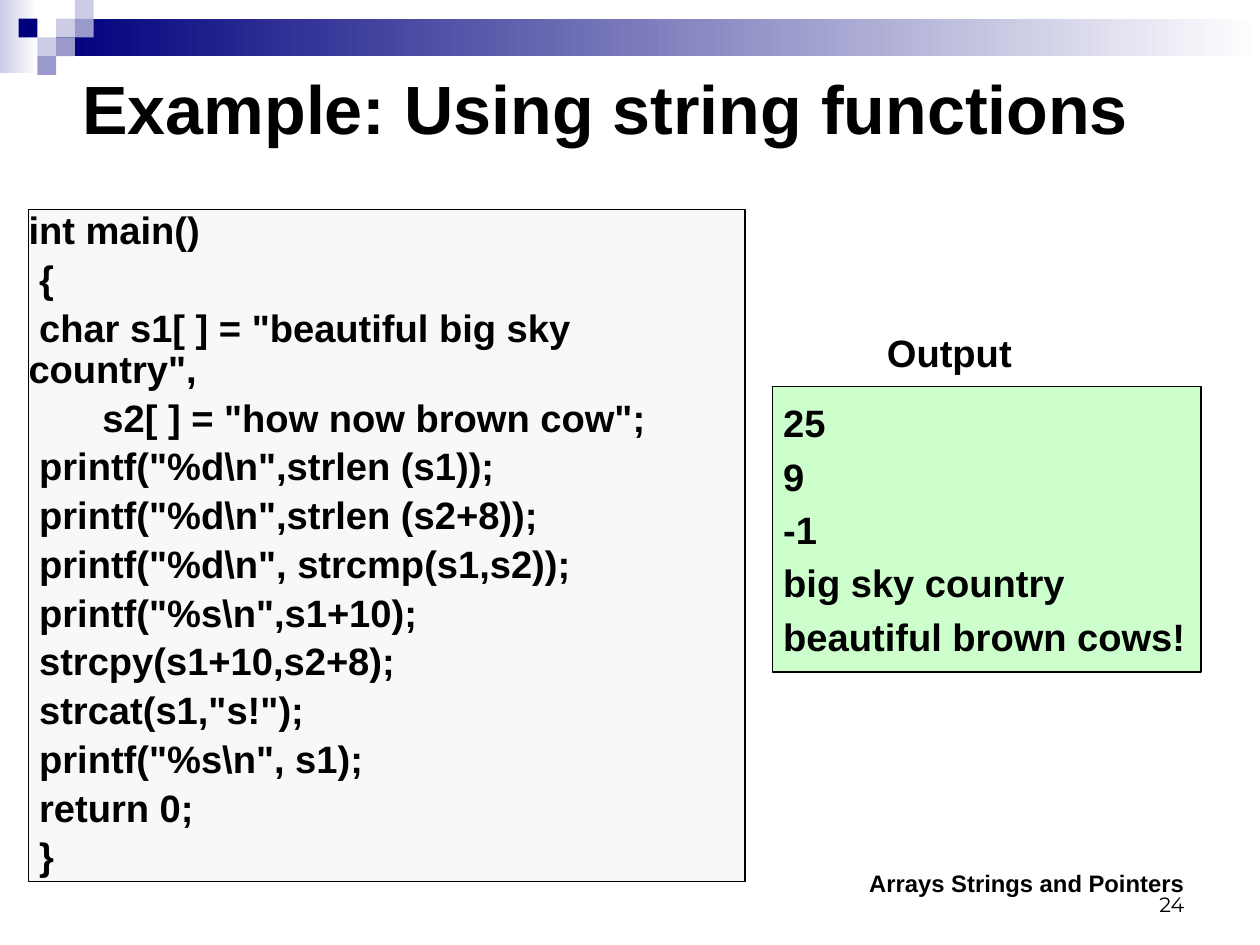
from dataclasses import dataclass

from pptx import Presentation
from pptx.dml.color import RGBColor
from pptx.enum.shapes import MSO_SHAPE
from pptx.enum.text import MSO_ANCHOR, PP_ALIGN
from pptx.util import Pt


@dataclass(frozen=True)
class Theme:
    navy: str = "00007D"
    mid: str = "9999CC"
    light: str = "CCCCE6"
    white: str = "FFFFFF"
    ink: str = "000000"
    paper: str = "F8F8F8"
    mint: str = "CCFFCC"
    sans: str = "Arial"
    round: str = "Montserrat"
    title: float = 43
    body: float = 24
    foot: float = 15
    page: float = 13


THEME = Theme()
WIDE, HIGH = 793.75, 595.25
PAD = (7.92, 4.32)

CODE = r'''int main()
 {
 char s1[ ] = "beautiful big sky country",
       s2[ ] = "how now brown cow";
 printf("%d\n",strlen (s1));
 printf("%d\n",strlen (s2+8));
 printf("%d\n", strcmp(s1,s2));
 printf("%s\n",s1+10);
 strcpy(s1+10,s2+8);
 strcat(s1,"s!");
 printf("%s\n", s1);
 return 0;
 }'''.split("\n")
RESULT = ["25", "9", "-1", "big sky country", "beautiful brown cows!"]


def apply(item, style):
    for name, value in style.items():
        setattr(item, name, value)


def color(code):
    return RGBColor.from_string(code)


def write(shape, lines, size, font=THEME.sans, bold=True, pad=(0, 0),
          anchor=MSO_ANCHOR.TOP, align=PP_ALIGN.LEFT, gap=0, pitch=None):
    """Fill a shape with one paragraph per line; pad is (sides, top and bottom)."""
    side, edge = map(Pt, pad)
    frame = shape.text_frame
    apply(frame, {"word_wrap": True, "vertical_anchor": anchor,
                  "margin_left": side, "margin_right": side,
                  "margin_top": edge, "margin_bottom": edge})
    for i, line in enumerate(lines):
        para = frame.paragraphs[0] if i == 0 else frame.add_paragraph()
        run = para.add_run()
        run.text = line
        apply(para, {"alignment": align, "line_spacing": pitch,
                     "space_before": Pt(gap if i else 0)})
        apply(run.font, {"name": font, "size": Pt(size), "bold": bold})
        run.font.color.rgb = color(THEME.ink)


def label(slide, box, text, size, **style):
    shape = slide.shapes.add_textbox(*map(Pt, box))
    write(shape, [text], size, **style)


def block(slide, box, fill, line=None):
    """Add a rectangle; a pair of colours makes a left-to-right gradient."""
    shape = slide.shapes.add_shape(MSO_SHAPE.RECTANGLE, *map(Pt, box))
    shape.shadow.inherit = False
    if isinstance(fill, tuple):
        shape.fill.gradient()
        shape.fill.gradient_angle = 0
        for stop, code in zip(shape.fill.gradient_stops, fill):
            stop.color.rgb = color(code)
    else:
        shape.fill.solid()
        shape.fill.fore_color.rgb = color(fill)
    if line:
        shape.line.color.rgb = color(line)
        shape.line.width = Pt(1)
    else:
        shape.line.fill.background()
    return shape


def banner(slide, box):
    """Draw the fading bar and the tiles, on a grid four rows high."""
    left, top, wide, high = box
    unit = high / 4
    block(slide, (left, top, 2 * unit, high - 1), (THEME.light, THEME.white))
    block(slide, (left + 3 * unit, top + unit, wide - 3 * unit, 2 * unit),
          (THEME.navy, THEME.white))
    tiles = [(3, 1, THEME.light), (4, 0, THEME.light), (4, 1, THEME.mid),
             (2, 2, THEME.light), (1, 1, THEME.navy), (3, 2, THEME.mid),
             (2, 3, THEME.mid)]
    for col, row, fill in tiles:
        block(slide, (left + col * unit, top + row * unit, unit, unit), fill)


def listing(slide, box):
    shape = block(slide, box, THEME.paper, THEME.ink)
    write(shape, CODE, THEME.body, anchor=MSO_ANCHOR.MIDDLE, gap=4.8, pitch=0.9)


def output(slide, box):
    left, top, wide, high = box
    head = 36
    label(slide, (left + 72, top, 120, 29), "Output", THEME.body)
    shape = block(slide, (left, top + head, wide, high - head),
                  THEME.mint, THEME.ink)
    write(shape, RESULT, THEME.body, pad=(6.67, 0),
          anchor=MSO_ANCHOR.MIDDLE, gap=4.8)


def footer(slide, box):
    left, top, wide, high = box
    inset, drop = 42.5, 12.25
    style = {"pad": PAD, "anchor": MSO_ANCHOR.BOTTOM, "align": PP_ALIGN.RIGHT}
    label(slide, (left + inset, top + drop, wide - inset, high - drop), "24",
          THEME.page, font=THEME.round, bold=False, **style)
    label(slide, (left, top, wide, high - drop), "Arrays Strings and Pointers",
          THEME.foot, **style)


def main():
    deck = Presentation()
    apply(deck, {"slide_width": Pt(WIDE), "slide_height": Pt(HIGH)})
    slide = deck.slides.add_slide(deck.slide_layouts[6])
    banner(slide, (0, 0, WIDE, 47.2))
    label(slide, (44, 37.5, WIDE - 44, 60.5), "Example: Using string functions",
          THEME.title, pad=PAD, anchor=MSO_ANCHOR.MIDDLE)
    output(slide, (486.75, 207.4, 270, 216))
    listing(slide, (18, 131.9, 451.5, 423.4))
    footer(slide, (526.4, 529.8, 227.5, 51.9))
    deck.save("out.pptx")


if __name__ == "__main__":
    main()
